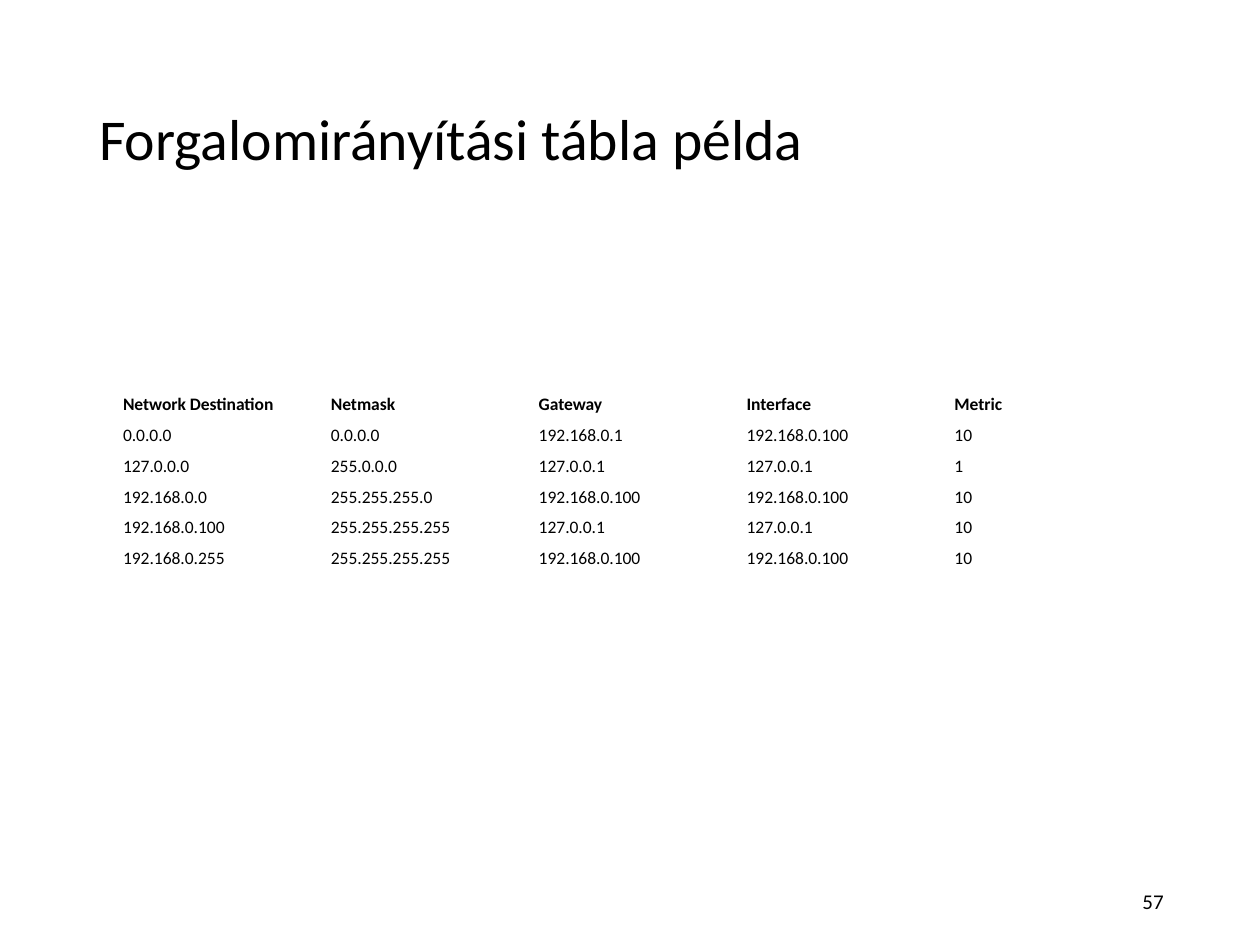
from pptx import Presentation
from pptx.dml.color import RGBColor
from pptx.enum.text import MSO_ANCHOR, PP_ALIGN
from pptx.util import Cm, Pt

MIDDLE = MSO_ANCHOR.MIDDLE
LEFT, RIGHT = PP_ALIGN.LEFT, PP_ALIGN.RIGHT
COLORS = {"text": "000000", "paper": "FFFFFF"}
FONT = "Calibri"

ROUTES = [
    ("Network Destination", "Netmask", "Gateway", "Interface", "Metric"),
    ("0.0.0.0", "0.0.0.0", "192.168.0.1", "192.168.0.100", "10"),
    ("127.0.0.0", "255.0.0.0", "127.0.0.1", "127.0.0.1", "1"),
    ("192.168.0.0", "255.255.255.0", "192.168.0.100", "192.168.0.100", "10"),
    ("192.168.0.100", "255.255.255.255", "127.0.0.1", "127.0.0.1", "10"),
    ("192.168.0.255", "255.255.255.255", "192.168.0.100", "192.168.0.100", "10"),
]


def write(tf, text, size=10, bold=False, align=LEFT, spacing=None):
    """Put one formatted line of text into a text frame."""
    p = tf.paragraphs[0]
    p.alignment = align
    if spacing:
        p.line_spacing = spacing
    r = p.add_run()
    r.text = text
    r.font.name = FONT
    r.font.size = Pt(size)
    r.font.bold = bold
    r.font.color.rgb = RGBColor.from_string(COLORS["text"])


def set_margins(target, x, y):
    target.margin_left = target.margin_right = Cm(x)
    target.margin_top = target.margin_bottom = Cm(y)


class SlideBuilder:
    def __init__(self, s):
        self.s = s
        self.paper = RGBColor.from_string(COLORS["paper"])
        fill = s.background.fill
        fill.solid()
        fill.fore_color.rgb = self.paper

    def text(self, text, x, y, w, h, margins=(0.25, 0.13), **fmt):
        sp = self.s.shapes.add_textbox(Cm(x), Cm(y), Cm(w), Cm(h))
        tf = sp.text_frame
        tf.word_wrap = True
        tf.vertical_anchor = MIDDLE
        set_margins(tf, *margins)
        write(tf, text, **fmt)

    def table(self, rows, x, y, col_w, row_h):
        n_rows, n_cols = len(rows), len(rows[0])
        table = self.s.shapes.add_table(
            n_rows, n_cols, Cm(x), Cm(y), Cm(col_w * n_cols), Cm(row_h * n_rows)
        ).table
        table.horz_banding = False
        for col in table.columns:
            col.width = Cm(col_w)
        for i, values in enumerate(rows):
            table.rows[i].height = Cm(row_h)
            for j, value in enumerate(values):
                cell = table.cell(i, j)
                cell.fill.solid()
                cell.fill.fore_color.rgb = self.paper
                cell.vertical_anchor = MIDDLE
                set_margins(cell, 0.19, 0.09)
                write(cell.text_frame, value, bold=i == 0)


def main():
    prs = Presentation()
    prs.slide_width, prs.slide_height = Cm(25.4), Cm(19.05)
    slide = SlideBuilder(prs.slides.add_slide(prs.slide_layouts[6]))

    # Title
    slide.text("Forgalomirányítási tábla példa", 1.75, 1.01, 21.9, 3.68,
               size=33, spacing=0.9)
    # Routing table
    slide.table(ROUTES, 2.29, 7.85, col_w=4.19, row_h=0.62)
    # Slide number
    slide.text("57", 17.94, 17.66, 5.71, 1.01, margins=(0.19, 0.09),
               size=12, align=RIGHT)

    prs.save("out.pptx")


if __name__ == "__main__":
    main()
